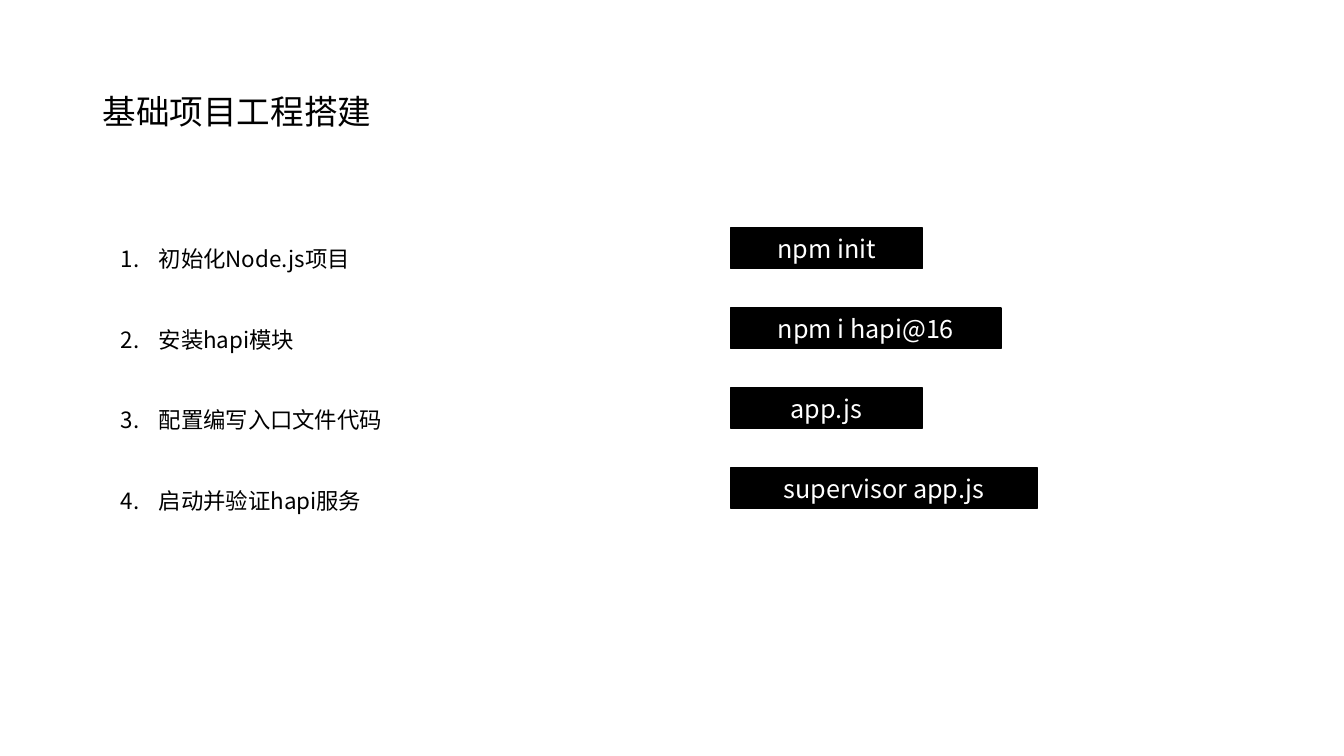
from lxml import etree
from pptx import Presentation
from pptx.dml.color import RGBColor
from pptx.enum import shapes, text
from pptx.oxml.ns import qn
from pptx.util import Pt

TITLE = "基础项目工程搭建"
STEPS = [  # step, command, command bar width
    ("初始化Node.js项目", "npm init", 136.8),
    ("安装hapi模块", "npm i hapi@16", 193),
    ("配置编写入口文件代码", "app.js", 136.8),
    ("启动并验证hapi服务", "supervisor app.js", 219),
]
FONT = "Noto Sans CJK SC"
COLORS = {"ink": "000000", "paper": "FFFFFF"}
BAR_LEFT, BAR_TOP, BAR_HEIGHT, BAR_PITCH = 522, 162.9, 28.8, 57.1
NUMBER_INDENT = 27


def place(box, left, top, width, height):
    box.left, box.top, box.width, box.height = map(Pt, (left, top, width, height))


def write(para, words, size, color="ink", align=text.PP_ALIGN.LEFT, spacing=1.0):
    para.alignment = align
    para.line_spacing = spacing
    para.space_before = Pt(0)
    span = para.add_run()
    span.text = words
    span.font.size = Pt(size)
    span.font.name = FONT
    span.font.color.rgb = RGBColor.from_string(COLORS[color])
    etree.SubElement(span.font._element, qn("a:ea"), typeface=FONT)


def number(para):
    props = para._p.get_or_add_pPr()
    props.set("marL", str(Pt(NUMBER_INDENT)))
    props.set("indent", str(-Pt(NUMBER_INDENT)))
    etree.SubElement(props, qn("a:buFont"), typeface=FONT)
    etree.SubElement(props, qn("a:buAutoNum"), type="arabicPeriod")


def add_bar(page, row, command, width):
    bar = page.shapes.add_shape(
        shapes.MSO_SHAPE.RECTANGLE, Pt(BAR_LEFT), Pt(BAR_TOP + row * BAR_PITCH),
        Pt(width), Pt(BAR_HEIGHT))
    bar.shadow.inherit = False
    bar.fill.solid()
    bar.fill.fore_color.rgb = RGBColor.from_string(COLORS["ink"])
    bar.line.color.rgb = RGBColor.from_string(COLORS["ink"])
    bar.line.width = Pt(1)
    bar.text_frame.vertical_anchor = text.MSO_ANCHOR.MIDDLE
    write(bar.text_frame.paragraphs[0], command, 18, color="paper",
          align=text.PP_ALIGN.CENTER)


def main():
    deck = Presentation()
    deck.slide_width, deck.slide_height = Pt(960), Pt(540)
    page = deck.slides.add_slide(deck.slide_layouts[1])

    title = page.shapes.title
    place(title, 66, 28.8, 828, 104.4)
    title.text_frame.auto_size = text.MSO_AUTO_SIZE.NONE
    title.text_frame.vertical_anchor = text.MSO_ANCHOR.MIDDLE
    write(title.text_frame.paragraphs[0], TITLE, 24, spacing=0.9)

    body = page.placeholders[1]
    place(body, 79.2, 133.2, 420.5, 239.8)
    frame = body.text_frame
    frame.auto_size = text.MSO_AUTO_SIZE.NONE
    for row, (step, command, width) in enumerate(STEPS):
        para = frame.add_paragraph() if row else frame.paragraphs[0]
        write(para, step, 16, spacing=3.0)
        number(para)
        add_bar(page, row, command, width)

    deck.save("out.pptx")


if __name__ == "__main__":
    main()
